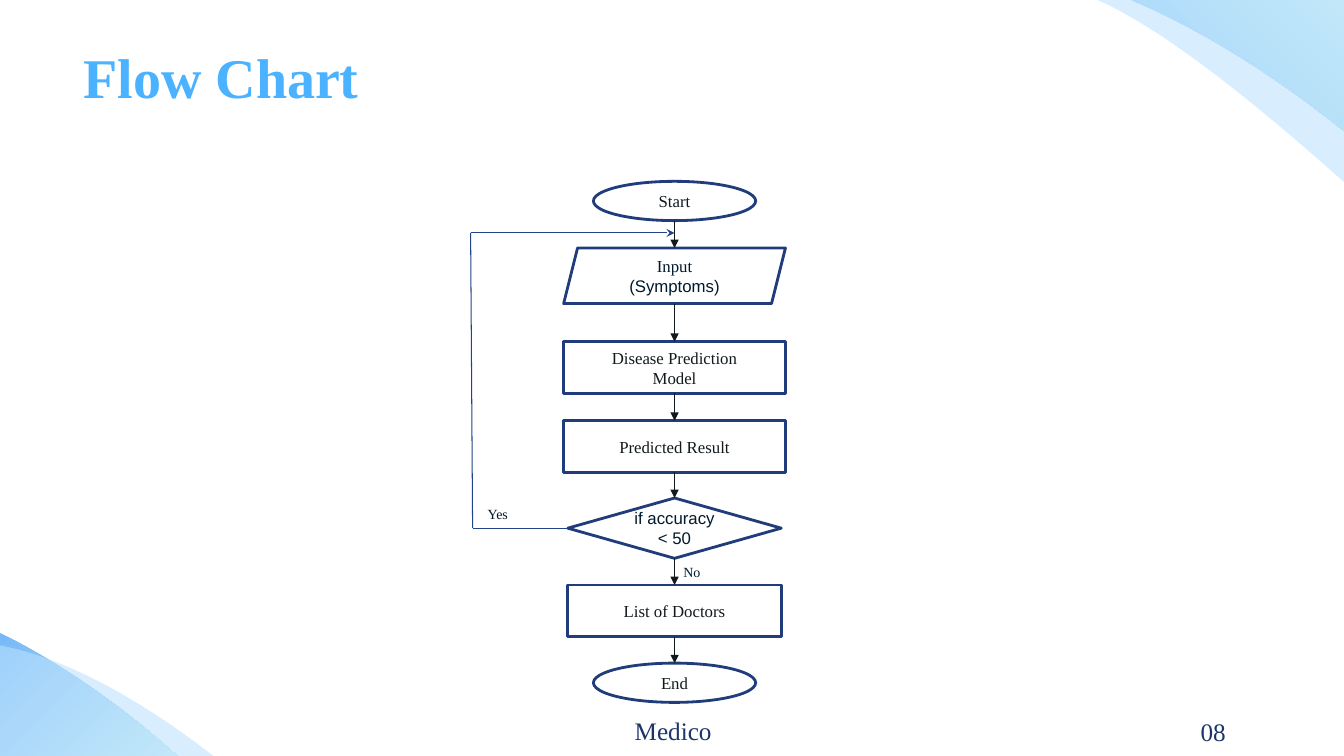
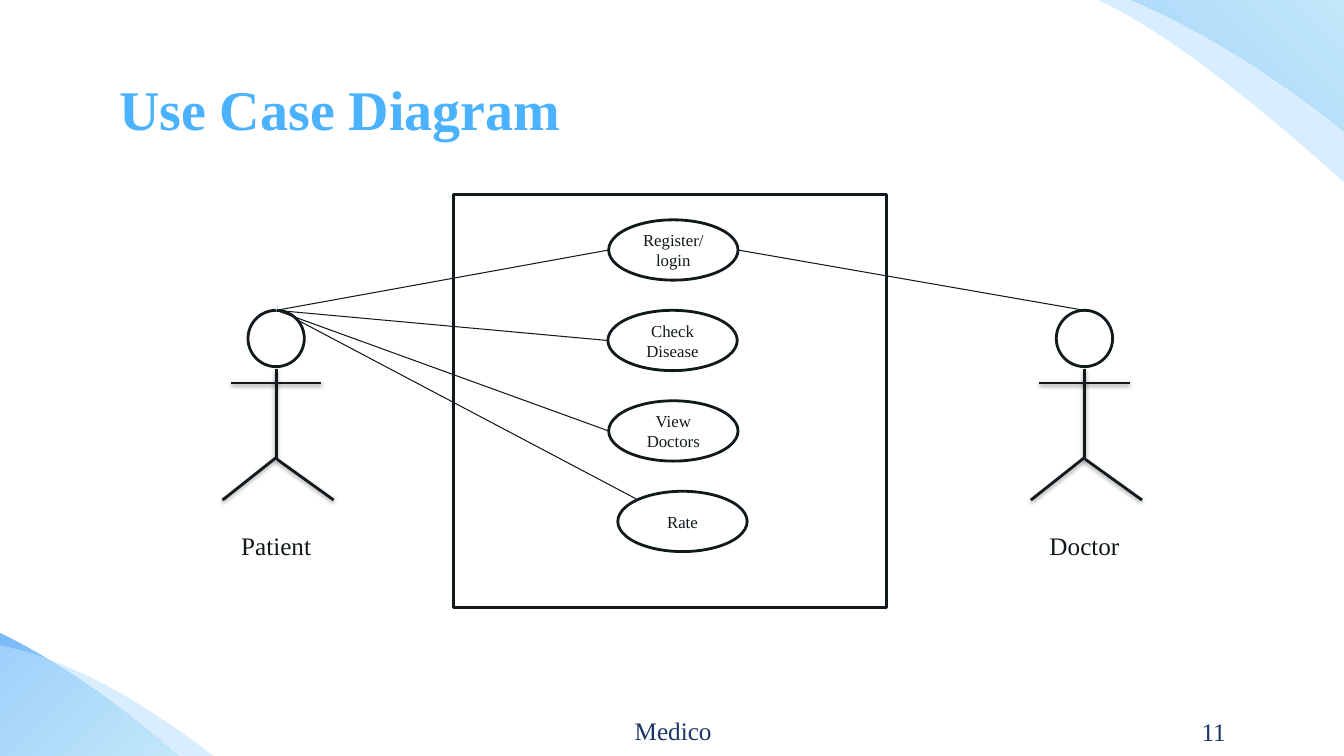
from dataclasses import dataclass
from itertools import pairwise

from lxml.etree import SubElement
from pptx import Presentation
from pptx.dml.color import RGBColor
from pptx.enum.shapes import MSO_CONNECTOR, MSO_SHAPE as Shp
from pptx.enum.text import MSO_ANCHOR, MSO_AUTO_SIZE, PP_ALIGN as Align
from pptx.oxml.ns import qn
from pptx.util import Cm, Pt

WHITE = RGBColor(0xFF, 0xFF, 0xFF)
INK = RGBColor(0x11, 0x19, 0x1C)
DARK_BLUE = RGBColor(0x00, 0x19, 0x2C)
NAVY = RGBColor(0x20, 0x3C, 0x7B)
LOOP_BLUE = RGBColor(0x21, 0x44, 0x87)
FOOTER_BLUE = RGBColor(0x1C, 0x35, 0x67)
TITLE_BLUE = RGBColor(0x4B, 0xB2, 0xFF)
TICK_BLUE = RGBColor(0xB4, 0xDC, 0xFA)
PALE_BLUE = RGBColor(0xBB, 0xE2, 0xFF)
MID_BLUE = RGBColor(0x77, 0xB8, 0xF7)
SOFT_BLUE = RGBColor(0x8A, 0xC4, 0xF6)
AQUA = RGBColor(0xCB, 0xEF, 0xF2)

SERIF, SANS = "Times New Roman", "Arial"
SLIDE_W, SLIDE_H = 33.87, 19.05
Point = tuple[float, float]


@dataclass(frozen=True)
class Corner:
    """A slide corner cut off by a curve; no gradient means a translucent fill."""
    start: Point
    control: Point
    end: Point
    corner: Point
    gradient: tuple[RGBColor, RGBColor] | None = None
    angle: float = 0


@dataclass(frozen=True)
class Node:
    kind: Shp
    center: float
    top: float
    width: float
    height: float
    lines: tuple[str, ...] = ()
    outline: RGBColor = NAVY
    ink: RGBColor = INK
    last_font: str = SERIF

    @property
    def bottom(self) -> float:
        return self.top + self.height


@dataclass(frozen=True)
class Actor:
    name: str
    center: float


TOP_RIGHT, BOTTOM_LEFT = (SLIDE_W, 0), (0, SLIDE_H)
CORNERS = [
    Corner((28.52, 0), (31.14, 1.12), (SLIDE_W, 3.3), TOP_RIGHT, (SOFT_BLUE, AQUA), 45),
    Corner((27.66, 0), (29.79, 0.94), (SLIDE_W, 4.59), TOP_RIGHT),
    Corner((0, 15.95), (2.31, 17.11), (4.47, SLIDE_H), BOTTOM_LEFT, (MID_BLUE, AQUA), 315),
    Corner((0, 16.26), (2.39, 16.74), (5.38, SLIDE_H), BOTTOM_LEFT),
]

FLOW_X = 17.0
FLOW = [
    Node(Shp.OVAL, FLOW_X, 4.57, 4.09, 0.99, ("Start",)),
    Node(Shp.PARALLELOGRAM, FLOW_X, 6.25, 5.59, 1.4, ("Input", "(Symptoms)"),
         ink=DARK_BLUE, last_font=SANS),
    Node(Shp.RECTANGLE, FLOW_X, 8.61, 5.59, 1.3, ("Disease Prediction", "Model")),
    Node(Shp.RECTANGLE, FLOW_X, 10.6, 5.59, 1.3, ("Predicted Result",)),
    Node(Shp.DIAMOND, FLOW_X, 12.55, 5.38, 1.52, ("if accuracy < 50",),
         ink=DARK_BLUE, last_font=SANS),
    Node(Shp.RECTANGLE, FLOW_X, 14.74, 5.38, 1.3, ("List of Doctors",)),
    Node(Shp.OVAL, FLOW_X, 16.71, 4.09, 0.99, ("End",)),
]
LOOP = [(14.31, 13.31), (11.91, 13.31), (11.86, 5.87), (FLOW_X, 5.87)]

SYSTEM = Node(Shp.RECTANGLE, 16.89, 4.9, 10.92, 10.41, outline=INK)
USE_CASES = [
    Node(Shp.OVAL, center, 5.54 + 2.28 * i, 3.26, 1.52, lines, INK)
    for i, (center, lines) in enumerate([
        (16.97, ("Register/", "login")),
        (16.95, ("Check Disease",)),
        (16.97, ("View Doctors",)),
        (17.2, ("Rate",)),
    ])
]
PATIENT, DOCTOR = Actor("Patient", 6.96), Actor("Doctor", 27.33)
HEAD_TOP = 7.82


def style_paragraph(p, size: float, color: RGBColor, font: str = SERIF,
                    align: Align = Align.LEFT) -> None:
    p.alignment = align
    p.font.size, p.font.name = Pt(size), font
    p.font.color.rgb = color


def add_text(slide, text: str, left: float, top: float, width: float, height: float,
             size: float, color: RGBColor, align: Align = Align.LEFT):
    box = slide.shapes.add_textbox(Cm(left), Cm(top), Cm(width), Cm(height))
    box.text_frame.word_wrap = True
    p = box.text_frame.paragraphs[0]
    p.text = text
    style_paragraph(p, size, color, align=align)
    return box


def add_node(slide, node: Node) -> None:
    sp = slide.shapes.add_shape(node.kind, Cm(node.center - node.width / 2), Cm(node.top),
                                Cm(node.width), Cm(node.height))
    sp.shadow.inherit = False
    sp.fill.solid()
    sp.fill.fore_color.rgb = WHITE
    sp.line.color.rgb, sp.line.width = node.outline, Pt(2)
    tf = sp.text_frame
    tf.word_wrap = True
    tf.text = "\n".join(node.lines)
    for p in tf.paragraphs:
        style_paragraph(p, 12, node.ink, align=Align.CENTER)
    tf.paragraphs[-1].font.name = node.last_font


def add_line(slide, start: Point, end: Point, color: RGBColor = INK, width: float = 0.75,
             arrow: str = "", shadow: bool = False) -> None:
    line = slide.shapes.add_connector(MSO_CONNECTOR.STRAIGHT, *map(Cm, start + end))
    line.line.color.rgb, line.line.width = color, Pt(width)
    if arrow:
        SubElement(line.line._get_or_add_ln(), qn("a:tailEnd"), type=arrow)
    effects = SubElement(line._element.spPr, qn("a:effectLst"))
    if shadow:
        outer = SubElement(effects, qn("a:outerShdw"), blurRad=str(Pt(3.1)),
                           dist=str(Pt(1.6)), dir="5400000", rotWithShape="0")
        black = SubElement(outer, qn("a:srgbClr"), val="000000")
        SubElement(black, qn("a:alpha"), val="37000")


def add_corner(slide, corner: Corner):
    def on_curve(t: float) -> Point:
        return tuple(Cm((1 - t) ** 2 * a + 2 * t * (1 - t) * b + t ** 2 * c)
                     for a, b, c in zip(corner.start, corner.control, corner.end))

    steps = 24
    builder = slide.shapes.build_freeform(*on_curve(0))
    builder.add_line_segments([on_curve(i / steps) for i in range(1, steps + 1)]
                              + [tuple(map(Cm, corner.corner))])
    sp = builder.convert_to_shape()
    sp.shadow.inherit = False
    sp.line.fill.background()
    if corner.gradient:
        sp.fill.gradient()
        sp.fill.gradient_angle = corner.angle
        for stop, color in zip(sp.fill.gradient_stops, corner.gradient):
            stop.color.rgb = color
    else:
        sp.fill.solid()
        sp.fill.fore_color.rgb = PALE_BLUE
        color = sp._element.spPr.find(qn("a:solidFill")).find(qn("a:srgbClr"))
        SubElement(color, qn("a:alpha"), val="57000")
    return sp


def move_to_layout(slide, shapes: list) -> None:
    """Put shapes behind everything on the layout, so all its slides show them."""
    tree = slide.slide_layout.shapes._spTree
    for i, sp in enumerate(shapes):
        tree.insert(2 + i, sp._element)


def add_slide(prs, title: str, left: float, top: float, number: str):
    slide = prs.slides.add_slide(prs.slide_layouts[5])
    sp = slide.shapes.title
    sp.left, sp.top, sp.width, sp.height = Cm(left), Cm(top), Cm(28.52), Cm(2.13)
    tf = sp.text_frame
    tf.margin_left = tf.margin_right = tf.margin_top = tf.margin_bottom = Cm(0.33)
    tf.auto_size, tf.vertical_anchor = MSO_AUTO_SIZE.NONE, MSO_ANCHOR.MIDDLE
    p = tf.paragraphs[0]
    p.text = title
    style_paragraph(p, 40, TITLE_BLUE)
    p.font.bold = True
    add_text(slide, number, 27.51, 17.93, 3.63, 1.02, 18, FOOTER_BLUE, Align.RIGHT)
    return slide


def add_actor(slide, actor: Actor) -> None:
    x = actor.center
    add_node(slide, Node(Shp.OVAL, x, HEAD_TOP, 1.42, 1.42, outline=INK))
    limbs = [
        ((x, 9.3), (x, 11.58)),
        ((x - 1.14, 9.65), (x + 1.14, 9.65)),
        ((x + 0.03, 11.58), (x + 1.45, 12.6)),
        ((x - 1.35, 12.6), (x, 11.53)),
    ]
    for start, end in limbs:
        add_line(slide, start, end, width=2, shadow=True)
    label = add_text(slide, actor.name, x - 1.5, 13.23, 3, 1.02, 18, INK, Align.CENTER)
    label.text_frame.word_wrap = False


def build_flow_chart(prs) -> None:
    slide = add_slide(prs, "Flow Chart", 1.78, 0.86, "08")
    footer = add_text(slide, "Medico", 10.41, 17.9, 13.11, 1.02, 18, FOOTER_BLUE, Align.CENTER)
    move_to_layout(slide, [add_corner(slide, c) for c in CORNERS] + [footer])
    for node in FLOW:
        add_node(slide, node)
    for upper, lower in pairwise(FLOW):
        add_line(slide, (FLOW_X, upper.bottom), (FLOW_X, lower.top), arrow="triangle")
    for start, end in pairwise(LOOP):
        add_line(slide, start, end, LOOP_BLUE, arrow="stealth" if end == LOOP[-1] else "")
    for text, left, top in [("Yes", 12.04, 12.62), ("No", 16.97, 14.07)]:
        add_text(slide, text, left, top, 2.16, 0.69, 10, DARK_BLUE)


def build_use_cases(prs) -> None:
    slide = add_slide(prs, "Use Case Diagram", 2.67, 1.65, "11")
    for node in [SYSTEM, *USE_CASES]:
        add_node(slide, node)
    for actor in (PATIENT, DOCTOR):
        add_actor(slide, actor)
    patient_top = (PATIENT.center, HEAD_TOP)
    for case in USE_CASES[:3]:
        add_line(slide, patient_top,
                 (case.center - case.width / 2, case.top + case.height / 2))
    add_line(slide, (6.99, 7.7), patient_top, TICK_BLUE)
    add_line(slide, (7.47, 8.05), (16.03, 12.57))
    login = USE_CASES[0]
    add_line(slide, (DOCTOR.center, HEAD_TOP),
             (login.center + login.width / 2, login.top + login.height / 2))


def main() -> None:
    prs = Presentation()
    prs.slide_width, prs.slide_height = Cm(SLIDE_W), Cm(SLIDE_H)
    build_flow_chart(prs)
    build_use_cases(prs)
    prs.save("out.pptx")


if __name__ == "__main__":
    main()
